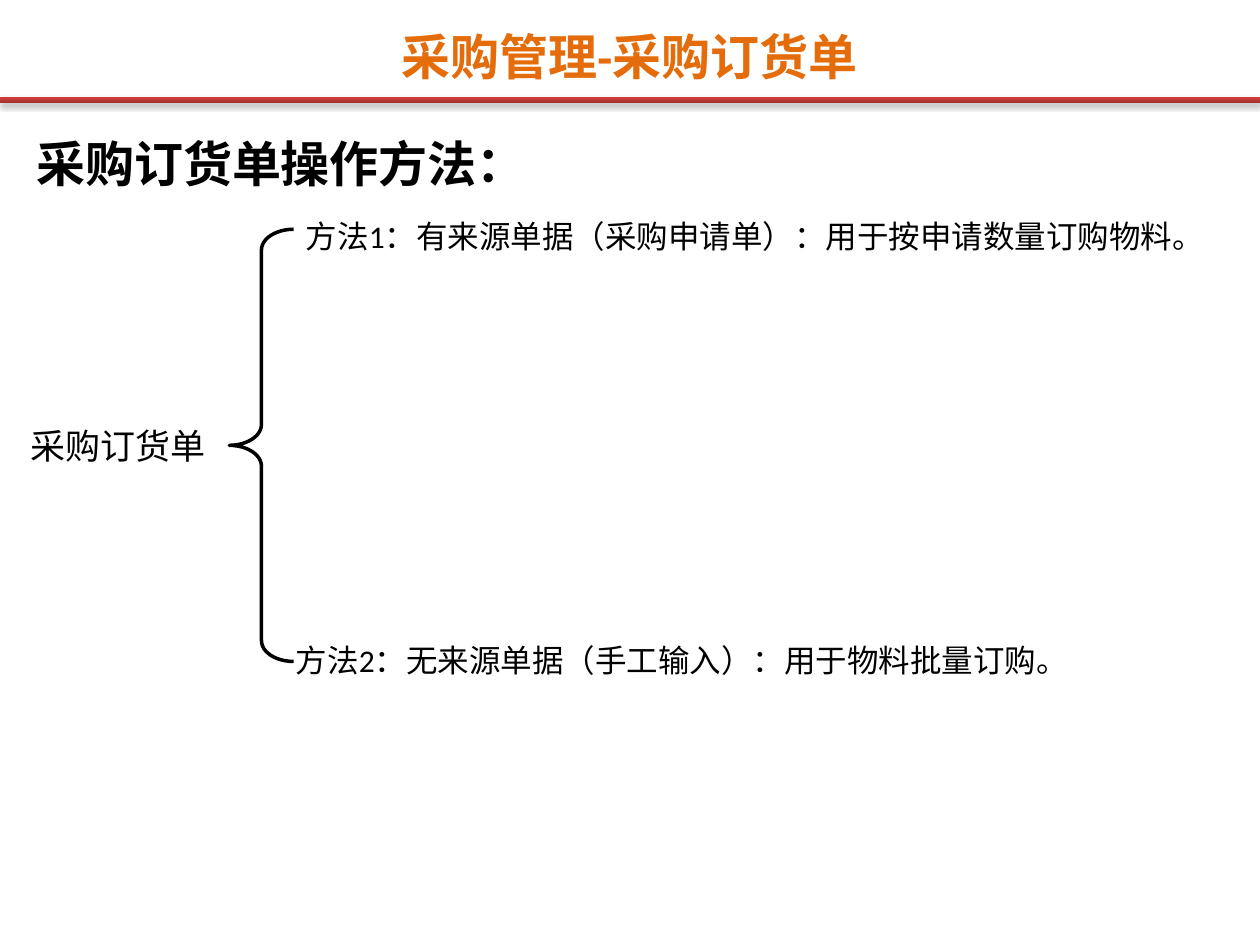
from lxml import etree
from pptx import Presentation
from pptx.dml.color import RGBColor
from pptx.enum.shapes import MSO_SHAPE as Shape
from pptx.enum.text import MSO_ANCHOR as Anchor, MSO_AUTO_SIZE as AutoSize, PP_ALIGN as Align
from pptx.oxml import parse_xml
from pptx.oxml.ns import nsdecls, qn
from pptx.util import Inches, Pt

WIDTH, HEIGHT = 10, 7.5
ORANGE, BLACK = "E46C0A", "000000"
BAR_STOPS = [(0, "9C2F2D"), (80, "CB3E3A"), (100, "CE3B37")]

# text, (left, top, width, height), size, line spacing
LABELS = [
    ("采购订货单", (0.14, 3.32, 1.91, 0.44), 20, 1),
    ("方法1：有来源单据（采购申请单）：用于按申请数量订购物料。", (2.33, 1.58, 7.25, 0.49), 18, 1.3),
    ("方法2：无来源单据（手工输入）：用于物料批量订购。", (2.25, 5.04, 6.7, 0.4), 18, 1),
]


def rgb(value):
    return RGBColor.from_string(value)


def place(shape, box):
    for side, length in zip(("left", "top", "width", "height"), box):
        setattr(shape, side, Inches(length))


def write(shape, text, size, color=BLACK, bold=False, align=Align.LEFT, spacing=1):
    frame = shape.text_frame
    frame.text = text
    for name, value in {"word_wrap": True, "auto_size": AutoSize.SHAPE_TO_FIT_TEXT,
                        "vertical_anchor": Anchor.TOP}.items():
        setattr(frame, name, value)
    line = frame.paragraphs[0]
    line.alignment, line.line_spacing = align, spacing
    font = line.runs[0].font
    for name, value in {"size": Pt(size), "bold": bold, "name": "Calibri"}.items():
        setattr(font, name, value)
    font.color.rgb = rgb(color)


def add_label(slide, text, box, size, spacing=1, bold=False):
    label = slide.shapes.add_textbox(*map(Inches, box))
    write(label, text, size, bold=bold, spacing=spacing)


def add_bar(slide, top, height):
    bar = slide.shapes.add_shape(Shape.RECTANGLE, 0, Inches(top), Inches(WIDTH), Inches(height))
    bar.line.fill.background()
    # Three-stop gradient and a soft shadow below
    stops = "".join(f'<a:gs pos="{pos * 1000}"><a:srgbClr val="{color}"/></a:gs>'
                    for pos, color in BAR_STOPS)
    gradient = parse_xml(f'<a:gradFill {nsdecls("a")} rotWithShape="1"><a:gsLst>{stops}</a:gsLst>'
                         '<a:lin ang="16200000" scaled="0"/></a:gradFill>')
    properties = bar._element.spPr
    properties.find(qn("a:prstGeom")).addnext(gradient)
    effects = etree.SubElement(properties, qn("a:effectLst"))
    shadow = etree.SubElement(effects, qn("a:outerShdw"), blurRad=str(Pt(3.1)),
                              dist=str(Pt(1.8)), dir="5400000", rotWithShape="0")
    color = etree.SubElement(shadow, qn("a:srgbClr"), val=BLACK)
    etree.SubElement(color, qn("a:alpha"), val="35000")


def add_brace(slide, box):
    brace = slide.shapes.add_shape(Shape.LEFT_BRACE, *map(Inches, box))
    brace.shadow.inherit = False
    brace.fill.background()
    brace.line.color.rgb = rgb(BLACK)
    brace.line.width = Pt(2)
    brace.adjustments[0], brace.adjustments[1] = 0.324, 0.5


def main():
    deck = Presentation()
    deck.slide_width, deck.slide_height = Inches(WIDTH), Inches(HEIGHT)
    slide = deck.slides.add_slide(deck.slide_layouts[5])

    # Title and the bar under it
    title = slide.shapes.title
    place(title, (2.75, 0.16, 4.49, 0.57))
    write(title, "采购管理-采购订货单", 28, ORANGE, bold=True, align=Align.CENTER)
    add_bar(slide, 0.77, 0.05)

    # Heading, then the order form branching into two methods
    add_label(slide, "采购订货单操作方法：", (0.19, 1.01, 9.38, 0.57), 28, bold=True)
    add_brace(slide, (1.82, 1.82, 0.51, 3.43))
    for label in LABELS:
        add_label(slide, *label)

    deck.save("out.pptx")


if __name__ == "__main__":
    main()
